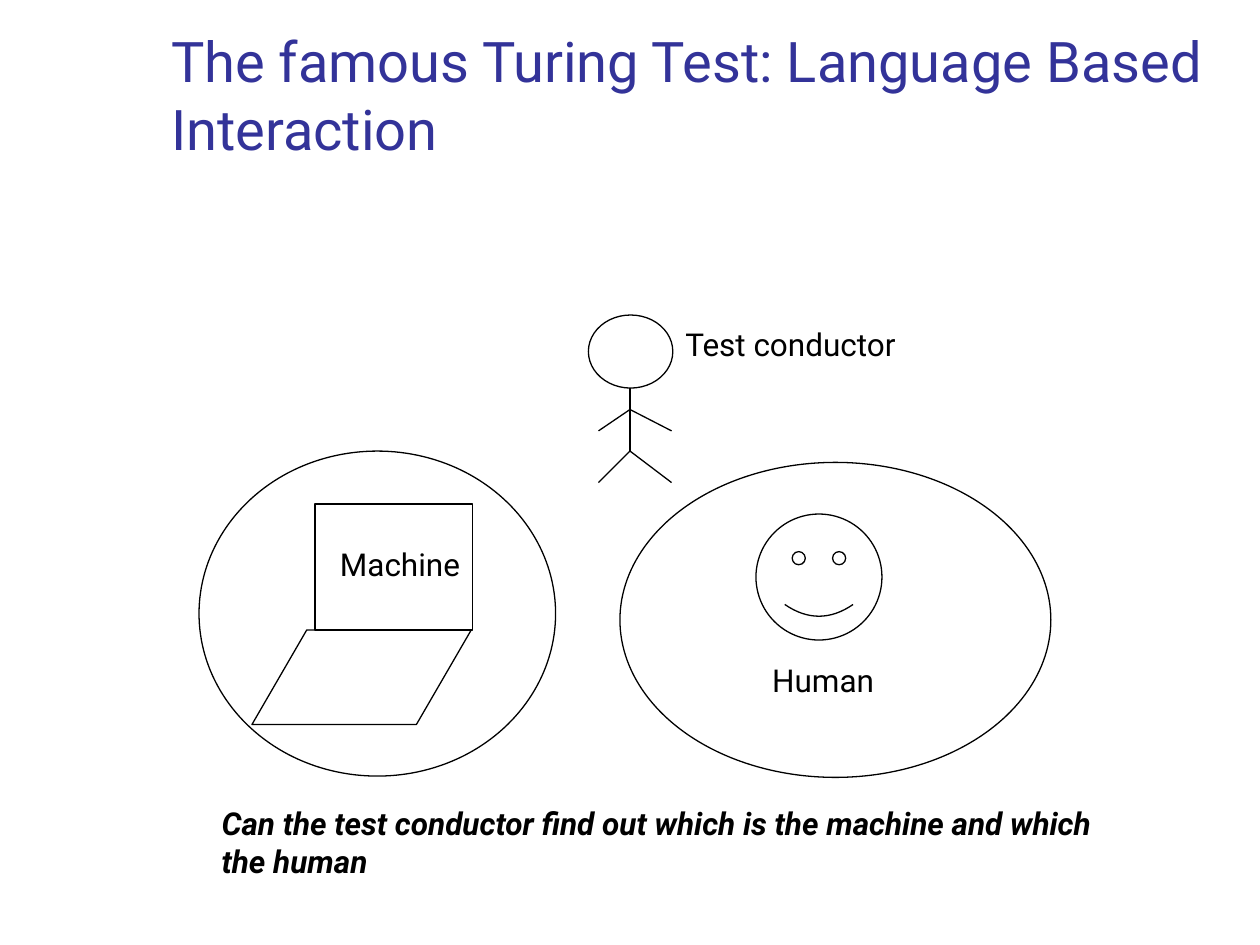
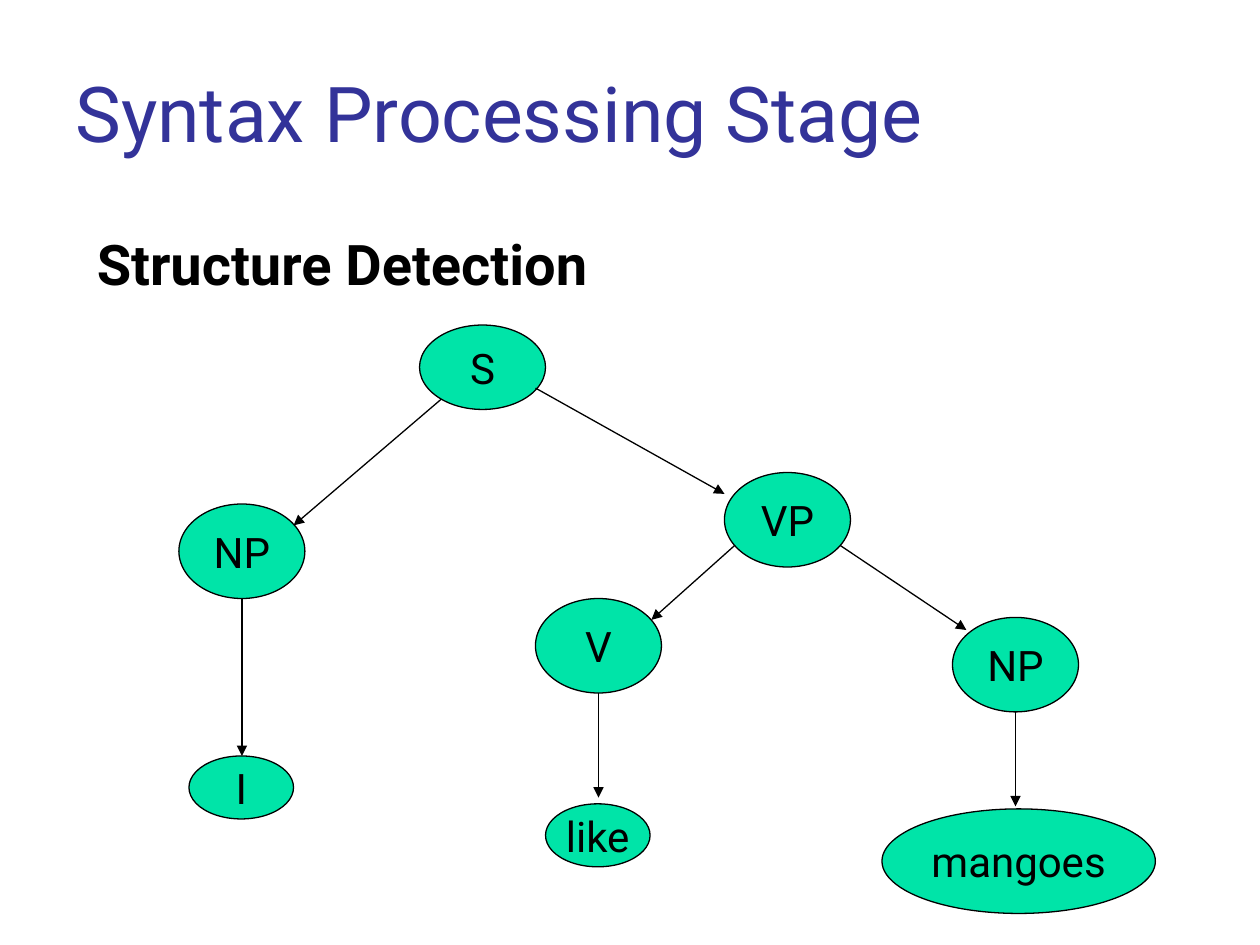
"""Builds two slides: the Turing Test scene and a syntax parse tree."""
import pptx
import pptx.dml.color
import pptx.enum.shapes
import pptx.enum.text
import pptx.oxml
import pptx.util
from pptx.util import Inches

COLOURS = {"title": "333399", "ink": "000000", "node": "00E4A8"}
FONT = "Roboto"
SHAPES = pptx.enum.shapes.MSO_SHAPE
ANCHOR = pptx.enum.text.MSO_ANCHOR
ALIGN = pptx.enum.text.PP_ALIGN
AUTO_SIZE = pptx.enum.text.MSO_AUTO_SIZE


def rgb(name):
    """Return the palette colour called name."""
    return pptx.dml.color.RGBColor.from_string(COLOURS[name])


def add_run(paragraph, text, size, colour="ink", bold=False, italic=False):
    """Append one styled run to a paragraph."""
    run = paragraph.add_run()
    run.text = text
    font = run.font
    font.name, font.size = FONT, pptx.util.Pt(size)
    font.bold, font.italic = bold, italic
    font.color.rgb = rgb(colour)


def add_text(slide, box, lines, size, wrap=False, anchor=ANCHOR.TOP, **style):
    """Add a text box with one paragraph per line and return its frame."""
    frame = slide.shapes.add_textbox(*map(Inches, box)).text_frame
    frame.word_wrap = wrap
    frame.vertical_anchor = anchor
    frame.auto_size = AUTO_SIZE.NONE if wrap else AUTO_SIZE.SHAPE_TO_FIT_TEXT
    for index, line in enumerate(lines):
        paragraph = frame.paragraphs[0] if index == 0 else frame.add_paragraph()
        add_run(paragraph, line, size, **style)
    return frame


def add_title(slide, box, text, size):
    """Add a slide title standing on the bottom of its box."""
    add_text(slide, box, [text], size, wrap=True, anchor=ANCHOR.BOTTOM, colour="title")


def add_outline(slide, kind, box, adjustment=None):
    """Add an unfilled preset shape with a thin black outline."""
    outline = slide.shapes.add_shape(kind, *map(Inches, box))
    outline.shadow.inherit = False
    outline.fill.background()
    outline.line.color.rgb = rgb("ink")
    outline.line.width = pptx.util.Pt(0.75)
    if adjustment is not None:
        outline.adjustments[0] = adjustment
    return outline


def add_node(slide, label, box):
    """Add a labelled oval of the parse tree."""
    node = add_outline(slide, SHAPES.OVAL, box)
    node.fill.solid()
    node.fill.fore_color.rgb = rgb("node")
    frame = node.text_frame
    frame.word_wrap = False
    frame.vertical_anchor = ANCHOR.MIDDLE
    frame.paragraphs[0].alignment = ALIGN.CENTER
    add_run(frame.paragraphs[0], label, 24)


def add_line(slide, start, end, arrow=False):
    """Add a thin straight line, with an arrowhead at its end on request."""
    line = slide.shapes.add_connector(
        pptx.enum.shapes.MSO_CONNECTOR.STRAIGHT, *map(Inches, (*start, *end)))
    line.line.color.rgb = rgb("ink")
    line.line.width = pptx.util.Pt(0.75)
    if arrow:
        head = pptx.oxml.ns.qn("a:tailEnd")
        line.line._get_or_add_ln().makeelement(head)
        outline = line.line._get_or_add_ln()
        outline.append(outline.makeelement(head, {"type": "triangle"}))
    properties = line._element.spPr
    properties.append(properties.makeelement(pptx.oxml.ns.qn("a:effectLst")))


def add_stick_figure(slide):
    """Draw the test conductor: head, spine, arms and legs."""
    spine, shoulder, hip = 5, 3.25, 3.58
    add_outline(slide, SHAPES.OVAL, (4.67, 2.5, 0.67, 0.58))
    add_line(slide, (spine, 3.08), (spine, hip))
    for joint, limb_end in ((shoulder, 3.42), (hip, 3.83)):
        for side in (4.75, 5.33):
            add_line(slide, (spine, joint), (side, limb_end))


def build_turing_test(slide):
    """Fill the slide about the Turing Test."""
    add_title(slide, (1.26, 0.23, 8.52, 1.1),
              "The famous Turing Test: Language Based Interaction", 32)
    add_outline(slide, SHAPES.PARALLELOGRAM, (2, 5, 1.74, 0.75), 0.58)
    add_outline(slide, SHAPES.RECTANGLE, (2.5, 4, 1.25, 1))
    add_outline(slide, SHAPES.SMILEY_FACE, (6, 4.08, 1, 1), 0.09)
    for room in ((1.58, 3.58, 2.83, 2.58), (4.92, 3.67, 3.42, 2.5)):
        add_outline(slide, SHAPES.OVAL, room)
    add_stick_figure(slide)
    for label, box in (("Machine", (2.6, 4.28, 1.2, 0.4)),
                       ("Human", (6.03, 5.2, 1.07, 0.4)),
                       ("Test conductor", (5.34, 2.53, 1.95, 0.4))):
        add_text(slide, box, [label], 18)
    question = ["Can the test conductor find out which is the machine and which",
                "the human"]
    add_text(slide, (1.66, 6.33, 7.78, 0.7), question, 18, bold=True, italic=True)


def build_syntax_tree(slide):
    """Fill the slide with the parse tree."""
    add_title(slide, (0.5, 0.3, 9, 1), "Syntax Processing Stage", 44)
    heading = add_text(slide, (0.67, 1.83, 9, 5.25), ["Structure Detection"], 32,
                       wrap=True, bold=True).paragraphs[0]
    heading.line_spacing = 0.9
    heading.space_before = pptx.util.Pt(8)

    phrase, word = (1, 0.75), (0.83, 0.5)
    nodes = (("S", 3.33, 2.58, (1, 0.67)), ("NP", 1.42, 4, phrase),
             ("VP", 5.75, 3.75, phrase), ("V", 4.25, 4.75, phrase),
             ("NP", 7.56, 4.9, phrase), ("I", 1.5, 6, word),
             ("like", 4.33, 6.38, word), ("mangoes", 7, 6.42, (2.17, 0.83)))
    for label, left, top, size in nodes:
        add_node(slide, label, (left, top, *size))

    branches = (((3.5, 3.17), (2.33, 4.17)), ((4.25, 3.08), (5.75, 3.92)),
                ((5.83, 4.33), (5.17, 4.92)), ((6.67, 4.33), (7.67, 5)))
    drops = ((1.92, 4.75, 6), (4.75, 5.5, 6.33), (8.06, 5.65, 6.4))
    for start, end in branches:
        add_line(slide, start, end, arrow=True)
    for centre, top, bottom in drops:
        add_line(slide, (centre, top), (centre, bottom), arrow=True)


def main():
    """Build and save the presentation."""
    deck = pptx.Presentation()
    deck.slide_width, deck.slide_height = Inches(10), Inches(7.5)
    for build in (build_turing_test, build_syntax_tree):
        build(deck.slides.add_slide(deck.slide_layouts[6]))
    deck.save("out.pptx")


if __name__ == "__main__":
    main()
